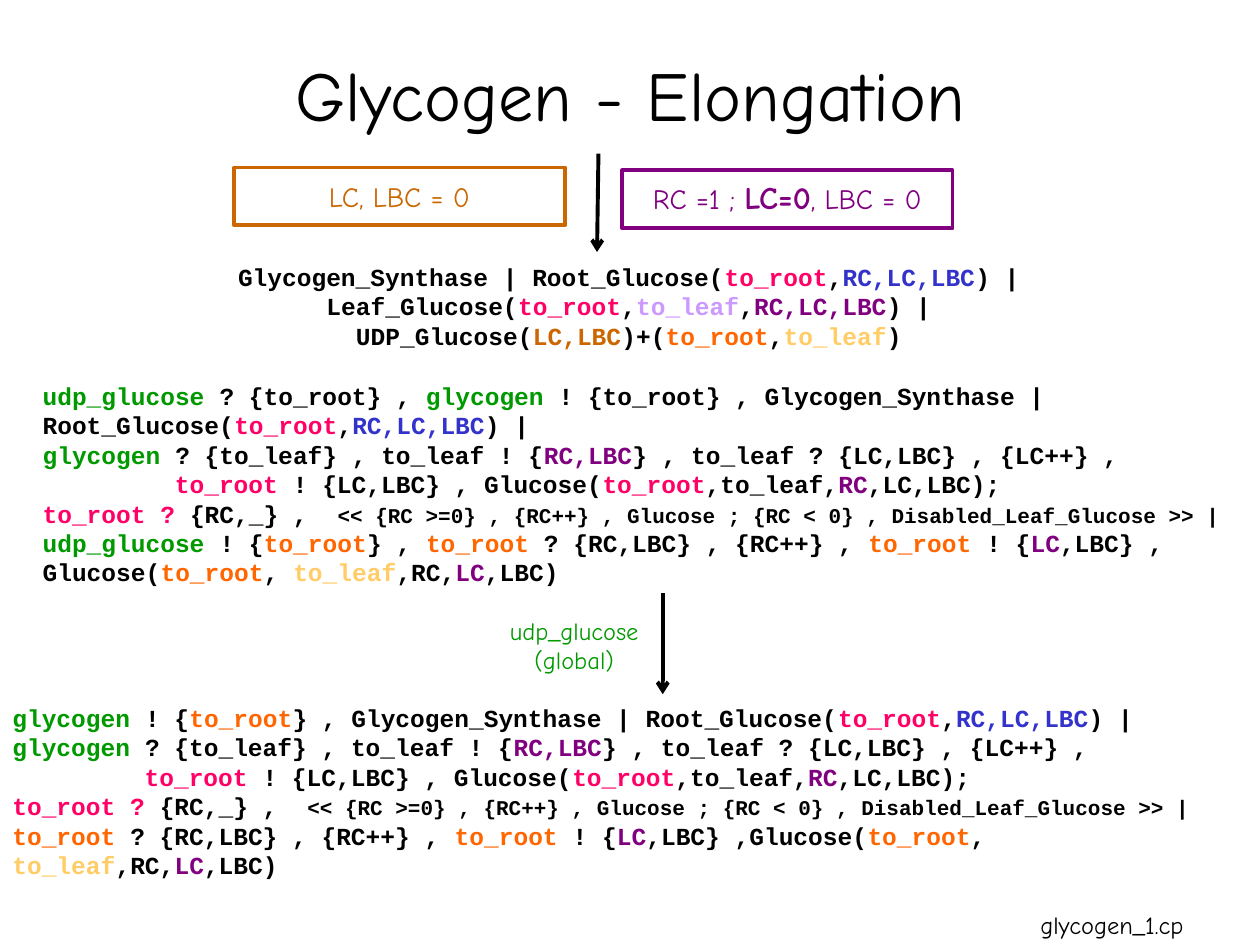
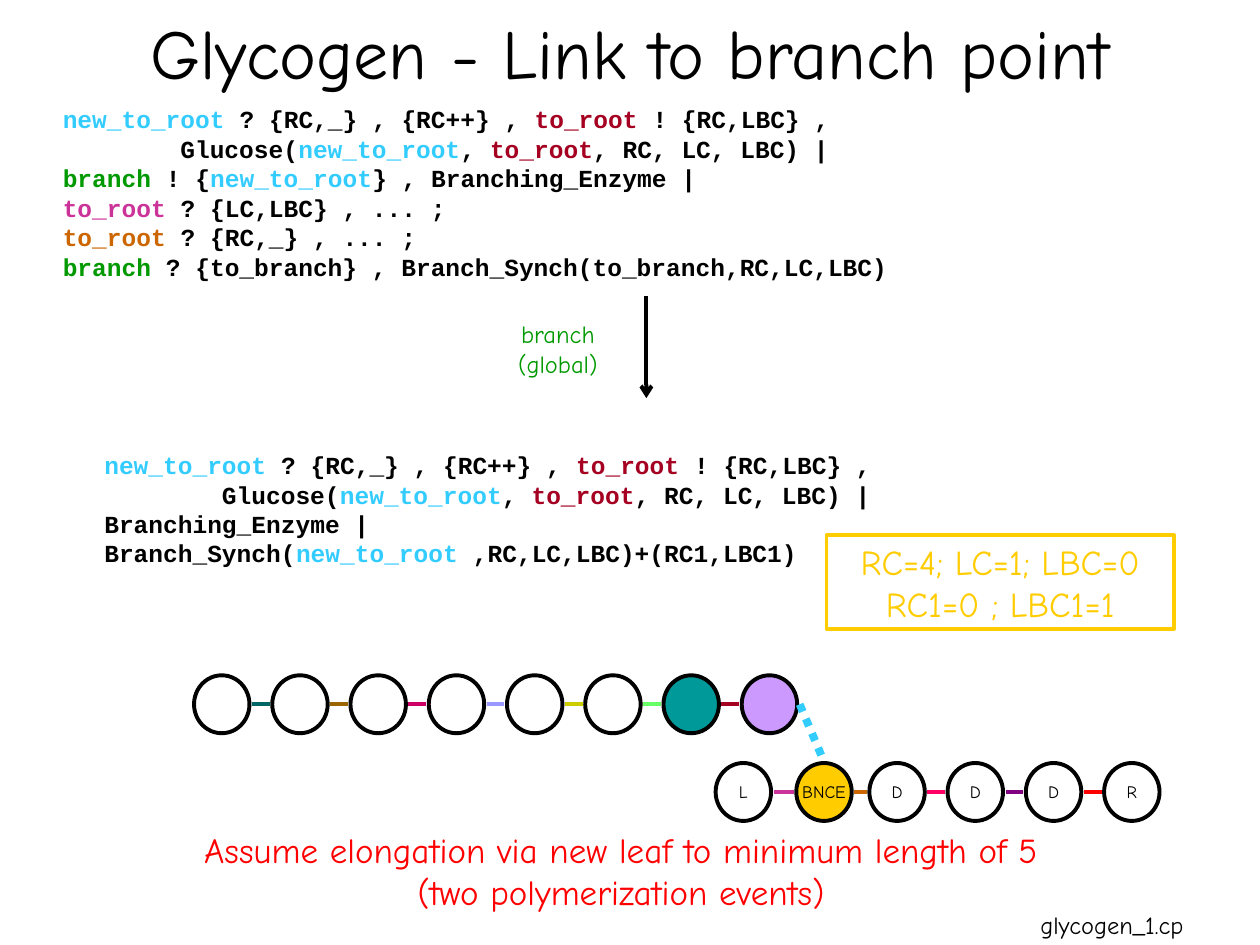
from lxml.etree import SubElement
from pptx import Presentation
from pptx.dml.color import RGBColor as Rgb
from pptx.enum.dml import MSO_LINE as Dash
from pptx.enum.shapes import MSO_CONNECTOR as Link, MSO_SHAPE as Form
from pptx.enum.text import MSO_ANCHOR as Anchor, MSO_AUTO_SIZE as Fit, PP_ALIGN as Align
from pptx.oxml.ns import qn
from pptx.util import Inches, Pt

WIDE, HIGH = Inches(10), Inches(7.5)
COL, ROW = WIDE / 100, HIGH / 75
HAND, MONO = "Comic Neue", "Courier New"

BLACK, WHITE = Rgb(0, 0, 0), Rgb(255, 255, 255)
GREEN, BLUE = Rgb(0x00, 0x99, 0x00), Rgb(0x33, 0x33, 0xCC)
PINK, PURPLE = Rgb(0xFF, 0x00, 0x66), Rgb(0x80, 0x00, 0x80)
LILAC, BROWN = Rgb(0xCC, 0x99, 0xFF), Rgb(0xCC, 0x66, 0x00)
ORANGE, SAND = Rgb(0xFF, 0x66, 0x00), Rgb(0xFF, 0xCC, 0x66)
SKY, WINE = Rgb(0x33, 0xCC, 0xFF), Rgb(0xA5, 0x00, 0x21)
ROSE, GOLD = Rgb(0xCC, 0x33, 0x99), Rgb(0xFF, 0xCC, 0x00)
RED, TEAL = Rgb(0xFF, 0x00, 0x00), Rgb(0x00, 0x99, 0x99)
PINE, OCHRE = Rgb(0x00, 0x66, 0x66), Rgb(0x99, 0x66, 0x00)
CERISE, MIST = Rgb(0xCC, 0x00, 0x66), Rgb(0x99, 0x99, 0xFF)
OLIVE, LIME = Rgb(0xCC, 0xCC, 0x00), Rgb(0x66, 0xFF, 0x66)

MARKS = {
    "g": {"color": GREEN}, "b": {"color": BLUE}, "p": {"color": PINK},
    "v": {"color": PURPLE}, "l": {"color": LILAC}, "n": {"color": BROWN},
    "o": {"color": ORANGE}, "s": {"color": SAND}, "k": {"color": SKY},
    "w": {"color": WINE}, "r": {"color": ROSE},
    "small": {"size": Pt(12)}, "strong": {"size": Pt(18), "bold": True},
}

START = [
    "Glycogen_Synthase | Root_Glucose([p:to_root],[b:RC,LC,LBC]) |",
    "Leaf_Glucose([p:to_root],[l:to_leaf],[v:RC,LC,LBC]) |",
    "UDP_Glucose([n:LC,LBC])+([o:to_root],[s:to_leaf])",
]
LEAF = [
    "[g:glycogen] ? {to_leaf} , to_leaf ! {[v:RC,LBC]} , to_leaf ? {LC,LBC} , {LC++} ,",
    (9, "[p:to_root] ! {LC,LBC} , Glucose([p:to_root],to_leaf,[v:RC],LC,LBC);"),
    "[p:to_root ?] {RC,_} ,  [small:<< {RC >=0} , {RC++} , Glucose ; "
    "{RC < 0} , Disabled_Leaf_Glucose >> |]",
]
OFFER = [
    "[g:udp_glucose] ? {to_root} , [g:glycogen] ! {to_root} , Glycogen_Synthase |",
    "Root_Glucose([p:to_root],[b:RC,LC,LBC]) |",
    *LEAF,
    "[g:udp_glucose] ! {[o:to_root]} , [o:to_root] ? {RC,LBC} , {RC++} , "
    "[o:to_root] ! {[v:LC],LBC} ,",
    "Glucose([o:to_root], [s:to_leaf],RC,[v:LC],LBC)",
]
GROWN = [
    "[g:glycogen] ! {[o:to_root]} , Glycogen_Synthase | "
    "Root_Glucose([p:to_root],[b:RC,LC,LBC]) |",
    *LEAF,
    "[o:to_root] ? {RC,LBC} , {RC++} , [o:to_root] ! {[v:LC],LBC} ,Glucose([o:to_root],",
    "[s:to_leaf],RC,[v:LC],LBC)",
]
FRESH = [
    "[k:new_to_root] ? {RC,_} , {RC++} , [w:to_root] ! {RC,LBC} ,",
    (8, "Glucose([k:new_to_root], [w:to_root], RC, LC, LBC) |"),
]
SPLIT = [
    *FRESH,
    "[g:branch] ! {[k:new_to_root]} , Branching_Enzyme |",
    "[r:to_root] ? {LC,LBC} , ... ;",
    "[n:to_root] ? {RC,_} , ... ;",
    "[g:branch] ? {to_branch} , Branch_Synch(to_branch,RC,LC,LBC)",
]
SYNCH = [
    *FRESH,
    "Branching_Enzyme |",
    "Branch_Synch([k:new_to_root] ,RC,LC,LBC)+(RC1,LBC1)",
]


def place(box):
    """Turn a box of grid cells into slide lengths."""
    x, y, w, h = box
    return int(x * COL), int(y * ROW), int(w * COL), int(h * ROW)


def part(box, x, y, w, h):
    """Return the box that takes the given shares of an outer box."""
    left, top, wide, high = box
    return left + x * wide, top + y * high, w * wide, h * high


def style(font, **vals):
    """Set font values, colour included."""
    for key, val in vals.items():
        if key == "color":
            font.color.rgb = val
        else:
            setattr(font, key, val)


def cut(line):
    """Split a marked line into pairs of mark and text."""
    head, *rest = line.split("[")
    pairs = [("", head)]
    for bit in rest:
        inner, _, plain = bit.partition("]")
        mark, _, text = inner.partition(":")
        pairs += [(mark, text), ("", plain)]
    return [pair for pair in pairs if pair[1]]


def write(shape, lines, size, align=Align.CENTER, **look):
    """Fill a shape with marked lines, one paragraph each."""
    frame = shape.text_frame
    vals = {"vertical_anchor": Anchor.MIDDLE, "auto_size": Fit.NONE,
            "word_wrap": align == Align.LEFT}
    for key, val in vals.items():
        setattr(frame, key, val)
    for i, line in enumerate(lines):
        para = frame.paragraphs[0] if i == 0 else frame.add_paragraph()
        para.alignment, para.line_spacing = align, Pt(size * 1.2)
        pad, text = line if isinstance(line, tuple) else (0, line)
        if pad:
            props = para._p.get_or_add_pPr()
            props.set("marL", str(int(pad * Pt(size) * 0.6)))
            props.set("indent", "0")
        for mark, bit in cut(text):
            run = para.add_run()
            run.text = bit
            style(run.font, **{"size": Pt(size), "name": HAND, "color": BLACK,
                               **look, **MARKS.get(mark, {})})


def draw(slide, box, form=Form.RECTANGLE, fill=WHITE, edge=None):
    """Add a flat preset shape."""
    shape = slide.shapes.add_shape(form, *place(box))
    shape.shadow.inherit = False
    shape.fill.solid()
    shape.fill.fore_color.rgb = fill
    if edge is None:
        shape.line.fill.background()
    else:
        shape.line.color.rgb, shape.line.width = edge, Pt(2.25)
    return shape


def join(slide, start, end, color=BLACK, width=2.25, dash=None, arrow=False):
    """Add a straight line between two grid points."""
    x, y, right, low = place((*start, *end))
    line = slide.shapes.add_connector(Link.STRAIGHT, x, y, right, low)
    line.line.color.rgb, line.line.width = color, Pt(width)
    if dash is not None:
        line.line.dash_style = dash
    if arrow:
        SubElement(line.line._get_or_add_ln(), qn("a:tailEnd"), type="arrow")
    SubElement(line._element.spPr, qn("a:effectLst"))


def code(slide, box, lines, align=Align.LEFT):
    """Add a block of bold process code."""
    area = slide.shapes.add_textbox(*place(box))
    write(area, lines, 14, align, name=MONO, bold=True)


def card(slide, box, lines, size, color):
    """Add an outlined box with text of the same colour."""
    write(draw(slide, box, edge=color), lines, size, color=color)


def step(slide, box, name):
    """Add a named reaction beside its downward arrow."""
    x, y, w, h = box
    join(slide, (x + w, y), (x + w, y + h), arrow=True)
    label = slide.shapes.add_textbox(*place(part(box, 0, 0, 0.92, 1.03)))
    write(label, [name, "(global)"], 14, color=GREEN)


def states(slide, box):
    """Add the two starting states around an arrow."""
    x, y, w, h = box
    join(slide, (x + 0.507 * w, y), (x + 0.505 * w, y + h), arrow=True)
    card(slide, part(box, 0.54, 0.17, 0.46, 0.59),
         ["RC =1 ; [strong:LC=0], LBC = 0"], 16, PURPLE)
    card(slide, part(box, 0, 0.14, 0.46, 0.59), ["LC, LBC = 0"], 16, BROWN)


def chain(slide, top, lefts, beads, links):
    """Add a row of beads and the coloured links between them."""
    wide, high, gap = 4.4, 4.6, 0.2
    for left, (text, fill) in zip(lefts, beads):
        bead = draw(slide, (left, top, wide, high), Form.OVAL, fill, BLACK)
        if text:
            write(bead, [text], 10)
    mid = top + high / 2
    for left, after, color in zip(lefts, lefts[1:], links):
        join(slide, (left + wide + gap, mid), (after - gap, mid), color)


def branch(slide, box):
    """Add the main chain, the side chain and their dotted bond."""
    x, y, _, h = box
    pitch, low = 6.21, y + 0.6 * h
    main = [x + i * pitch for i in range(8)]
    side = [x + 41.4, x + 47.8] + [x + 53.6 + i * pitch for i in range(4)]
    chain(slide, low, side,
          [("L", WHITE), ("BNCE", GOLD), *[("D", WHITE)] * 3, ("R", WHITE)],
          [ROSE, BROWN, PINK, PURPLE, RED])
    chain(slide, y, main, [*[("", WHITE)] * 6, ("", TEAL), ("", LILAC)],
          [PINE, OCHRE, CERISE, MIST, OLIVE, LIME, WINE])
    join(slide, (main[-1] + 4.6, y + 2.3), (side[1] + 2.2, low - 0.1),
         SKY, 4.5, Dash.ROUND_DOT)


def page(deck, title, box):
    """Add a slide with its title and footer."""
    slide = deck.slides.add_slide(deck.slide_layouts[5])
    head = slide.shapes.title
    head.left, head.top, head.width, head.height = place(box)
    write(head, [title], 40)
    write(draw(slide, (76.5, 71.8, 23.5, 3.2)), ["glycogen_1.cp"], 14)
    return slide


def extend(deck):
    """Build the elongation slide."""
    slide = page(deck, "Glycogen - Elongation", (7.5, 1.2, 85, 12.5))
    code(slide, (15, 20.3, 69.8, 8), START, Align.CENTER)
    states(slide, (18.6, 12.2, 57, 7.8))
    code(slide, (2.4, 29.7, 97.6, 17.4), OFFER)
    step(slide, (39.6, 47.1, 13, 8), "udp_glucose")
    code(slide, (0, 55.3, 100, 15), GROWN)


def attach(deck):
    """Build the branch point slide."""
    slide = page(deck, "Glycogen - Link to branch point", (7.5, 0, 85, 8.1))
    code(slide, (4, 7.8, 92.7, 15), SPLIT)
    step(slide, (38.3, 23.5, 13, 8.1), "branch")
    code(slide, (7.3, 35.2, 92.7, 10.4), SYNCH)
    card(slide, (65.6, 42.5, 27.6, 7.4),
         ["RC=4; LC=1; LBC=0", "RC1=0 ; LBC1=1"], 20, GOLD)
    note = draw(slide, (4.2, 65.4, 90.2, 6.4))
    write(note, ["Assume elongation via new leaf to minimum length of 5",
                 "(two polymerization events)"], 20, color=RED)
    note.top += int(0.5 * ROW)
    branch(slide, (15.4, 53.6, 76.6, 11.6))


def main():
    """Build and save the deck."""
    deck = Presentation()
    deck.slide_width, deck.slide_height = WIDE, HIGH
    extend(deck)
    attach(deck)
    deck.save("out.pptx")


if __name__ == "__main__":
    main()
